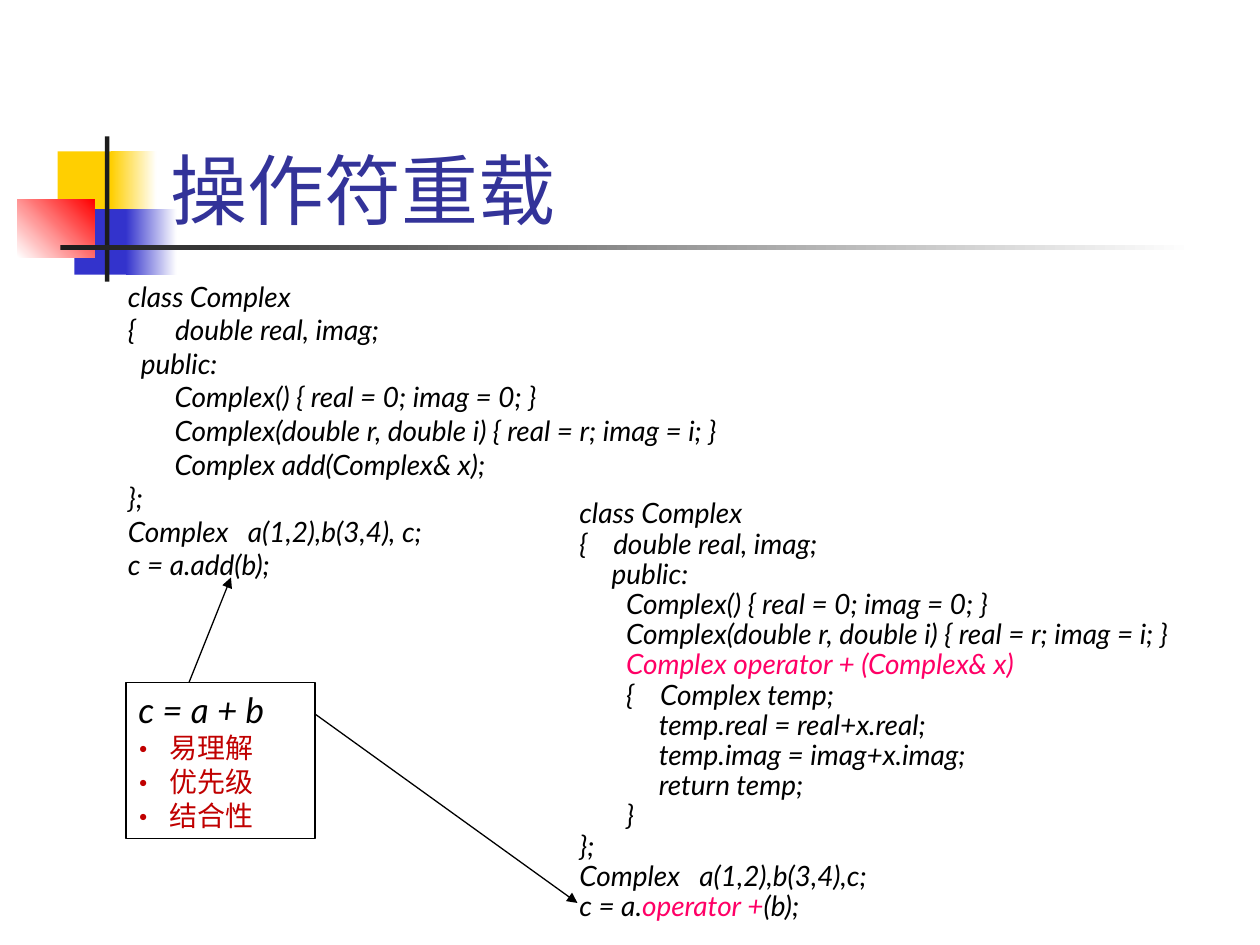
import pptx
import pptx.dml.color
import pptx.enum.shapes
import pptx.enum.text
import pptx.oxml.ns
import pptx.util
from lxml import etree

Pt = pptx.util.Pt
SHAPES = pptx.enum.shapes.MSO_SHAPE
ANCHORS = pptx.enum.text.MSO_ANCHOR
BLACK, WHITE, DARK = "000000", "FFFFFF", "1C1C1C"
YELLOW, BLUE, RED = "FFCF01", "3333CC", "FF0000"
NAVY, PINK, CRIMSON = "333399", "FF0066", "C00000"


def rgb(code):
    return pptx.dml.color.RGBColor.from_string(code)


def add_xml(parent, tag, **attributes):
    return etree.SubElement(parent, pptx.oxml.ns.qn(tag), attributes)


def add_span(para, text, size=16, color=BLACK, italic=True, font="Lato"):
    span = para.add_run()
    span.text = text
    span.font.size = Pt(size)
    span.font.italic = italic
    span.font.color.rgb = rgb(color)
    span.font.name = font
    add_xml(span.font._element, "a:ea", typeface=font)


def set_indent(para, start, wrap):
    properties = para._p.get_or_add_pPr()
    properties.set("marL", str(Pt(wrap)))
    properties.set("indent", str(Pt(start - wrap)))


class SlideBuilder:
    def __init__(self, deck):
        self.page = deck.slides.add_slide(deck.slide_layouts[6])
        self.line_width = Pt(0.75)

    def block(self, left, top, width, height, colors, angle=0):
        box = self.page.shapes.add_shape(
            SHAPES.RECTANGLE, Pt(left), Pt(top), Pt(width), Pt(height))
        box.shadow.inherit = False
        box.line.fill.background()
        if len(colors) == 1:
            box.fill.solid()
            box.fill.fore_color.rgb = rgb(colors[0])
            return
        box.fill.gradient()
        box.fill.gradient_angle = angle
        for stop, color in zip(box.fill.gradient_stops, colors):
            stop.color.rgb = rgb(color)

    def text_box(self, left, top, width, height, anchor=ANCHORS.TOP):
        box = self.page.shapes.add_textbox(Pt(left), Pt(top), Pt(width), Pt(height))
        box.text_frame.word_wrap = True
        box.text_frame.vertical_anchor = anchor
        return box

    def title(self, text, left, top, width, height):
        box = self.text_box(left, top, width, height, ANCHORS.BOTTOM)
        add_span(box.text_frame.paragraphs[0], text, size=44, color=NAVY, italic=False)

    def code(self, left, top, width, height, lines, spacing=1.0):
        frame = self.text_box(left, top, width, height).text_frame
        for number, (start, wrap, *spans) in enumerate(lines):
            para = frame.add_paragraph() if number else frame.paragraphs[0]
            para.line_spacing = spacing
            set_indent(para, start, wrap)
            for text, color in spans:
                add_span(para, text, color=color)

    def note(self, left, top, width, height, heading, points):
        box = self.text_box(left, top, width, height)
        box.line.color.rgb = rgb(BLACK)
        box.line.width = self.line_width
        add_span(box.text_frame.paragraphs[0], heading, size=20)
        for point in points:
            para = box.text_frame.add_paragraph()
            para.line_spacing = Pt(19.4)
            set_indent(para, 0, 18)
            properties = para._p.get_or_add_pPr()
            add_xml(add_xml(properties, "a:buClr"), "a:srgbClr", val=CRIMSON)
            add_xml(properties, "a:buSzPct", val="60000")
            add_xml(properties, "a:buFont", typeface="Lato")
            add_xml(properties, "a:buChar", char="•")
            add_span(para, point, color=CRIMSON, italic=False, font="Noto Sans CJK SC")

    def arrow(self, *ends):
        line = self.page.shapes.add_connector(
            pptx.enum.shapes.MSO_CONNECTOR.STRAIGHT, *map(Pt, ends))
        line.line.color.rgb = rgb(BLACK)
        line.line.width = self.line_width
        add_xml(line.line._get_or_add_ln(), "a:tailEnd", type="triangle")
        add_xml(line._element.spPr, "a:effectLst")


def code_line(text, start=0, wrap=None, color=BLACK):
    return start, start if wrap is None else wrap, (text, color)


def main():
    deck = pptx.Presentation()
    deck.slide_width, deck.slide_height = Pt(720), Pt(540)
    builder = SlideBuilder(deck)

    builder.block(33, 86.5, 34.5, 37.5, [YELLOW])
    builder.block(63.5, 86.5, 26, 37.5, [YELLOW, WHITE])
    builder.block(42.5, 119.5, 33, 37.5, [BLUE])
    builder.block(72, 119.5, 29, 37.5, [BLUE, WHITE])
    builder.block(10, 114, 44, 33, [WHITE, RED], angle=45)
    builder.block(60, 78, 2.5, 83, [DARK])
    builder.block(34.5, 140.2, 648, 2.5, [DARK, WHITE])
    builder.title("操作符重载", 90.5, 48, 613.5, 90)

    constructors = [
        code_line("Complex() { real = 0; imag = 0; }", 26.7),
        code_line("Complex(double r, double i) { real = r; imag = i; }", 26.7),
    ]
    builder.code(66, 156, 408, 180, [
        code_line("class Complex"),
        code_line("{\tdouble real, imag;", wrap=27),
        code_line("public:", 7.4),
        *constructors,
        code_line("Complex add(Complex& x);", 26.7),
        code_line("};"),
        code_line("Complex\ta(1,2),b(3,4), c;", wrap=68.6),
        code_line("c = a.add(b);"),
    ])
    builder.code(324, 282, 402, 258, [
        code_line("class Complex"),
        code_line("{\tdouble real, imag;", wrap=19.4),
        code_line("public:", 18.5),
        *constructors,
        code_line("Complex operator + (Complex& x)", 26.7, color=PINK),
        code_line("{\tComplex temp;", 26.7, 46.2),
        code_line("temp.real = real+x.real;", 45.4),
        code_line("temp.imag = imag+x.imag;", 45.4),
        code_line("return temp;", 45.4),
        code_line("}", 26.7),
        code_line("};"),
        code_line("Complex\ta(1,2),b(3,4),c;", wrap=68.6),
        (0, 0, ("c = a.", BLACK), ("operator +", PINK), ("(b);", BLACK)),
    ], spacing=0.9)

    builder.note(72, 390, 108, 89, "c = a + b", ["易理解", "优先级", "结合性"])
    builder.arrow(108, 390, 132, 330)
    builder.arrow(180, 408, 330, 516)
    deck.save("out.pptx")


if __name__ == "__main__":
    main()
